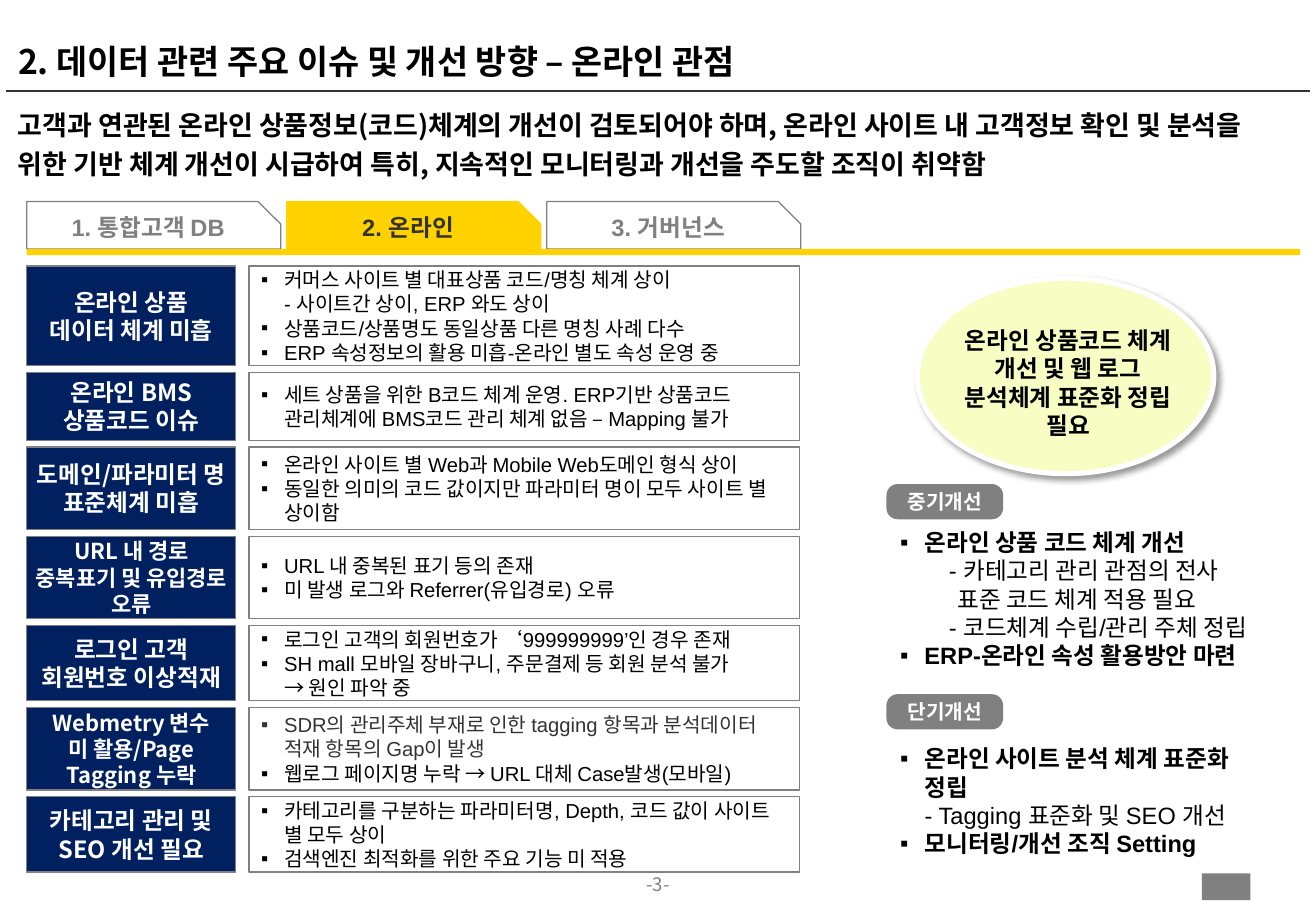
import copy
import itertools

import pptx
import pptx.dml.color
import pptx.enum.shapes
import pptx.enum.text
import pptx.oxml
import pptx.oxml.ns
import pptx.util

SHAPE = pptx.enum.shapes.MSO_SHAPE
ALIGN = pptx.enum.text.PP_ALIGN
ANCHOR = pptx.enum.text.MSO_ANCHOR
COLS, ROWS = 108.3, 75


class Theme:
    """Colours, faces and type sizes of the slide."""
    black, dark, gray, white = "000000", "333333", "808080", "FFFFFF"
    navy, gold, cream = "002060", "FFD200", "F7FDC3"
    sans, hangul = "Arial", "Noto Sans CJK KR"
    title, lead, head, tight, body, foot = 20, 16, 14, 13, 12, 11


ISSUES = [
    (8.2, Theme.head, "온라인 상품\n데이터 체계 미흡", [
        "커머스 사이트 별 대표상품 코드/명칭 체계 상이\v- 사이트간 상이, ERP 와도 상이",
        "상품코드/상품명도 동일상품 다른 명칭 사례 다수",
        "ERP 속성정보의 활용 미흡-온라인 별도 속성 운영 중"]),
    (5.6, Theme.head, "온라인 BMS 상품코드 이슈", [
        "세트 상품을 위한 B코드 체계 운영. ERP기반 상품코드 관리체계에 "
        "BMS코드 관리 체계 없음 – Mapping 불가"]),
    (6.8, Theme.head, "도메인/파라미터 명 표준체계 미흡", [
        "온라인 사이트 별 Web과 Mobile Web도메인 형식 상이",
        "동일한 의미의 코드 값이지만 파라미터 명이 모두 사이트 별 상이함"]),
    (6.8, Theme.tight, "URL 내 경로 중복표기 및 유입경로 오류", [
        "URL 내 중복된 표기 등의 존재",
        "미 발생 로그와 Referrer(유입경로) 오류"]),
    (6.2, Theme.head, "로그인 고객\n회원번호 이상적재", [
        "로그인 고객의 회원번호가 ‘999999999’인 경우 존재",
        "SH mall 모바일 장바구니, 주문결제 등 회원 분석 불가\v→ 원인 파악 중"]),
    (6.8, Theme.tight, "Webmetry 변수\v미 활용/Page Tagging 누락", [
        "SDR의 관리주체 부재로 인한 tagging 항목과 분석데이터 적재 항목의 Gap이 발생",
        "웹로그 페이지명 누락 → URL 대체 Case발생(모바일)"]),
    (6.2, Theme.head, "카테고리 관리 및\nSEO 개선 필요", [
        "카테고리를 구분하는 파라미터명, Depth, 코드 값이 사이트 별 모두 상이",
        "검색엔진 최적화를 위한 주요 기능 미 적용"]),
]
PLANS = [
    (39.9, "중기개선", (73.1, 43.1, 34.7, 12.4), (4.7, -0.7), [
        "온라인 상품 코드 체계 개선",
        "- 카테고리 관리 관점의 전사\v표준 코드 체계 적용 필요",
        "- 코드체계 수립/관리 주체 정립",
        "ERP-온라인 속성 활용방안 마련"]),
    (57.2, "단기개선", (73.1, 61.3, 31.5, 9.3), (2, 0), [
        "온라인 사이트 분석 체계 표준화 정립",
        "- Tagging 표준화 및 SEO 개선",
        "모니터링/개선 조직 Setting"]),
]


def cell(deck, *spans):
    """Turn alternating column and row counts into lengths."""
    units = itertools.cycle((deck.slide_width / COLS, deck.slide_height / ROWS))
    return [round(span * unit) for span, unit in zip(spans, units)]


def paint(color):
    """Return the colour for a hex code."""
    return pptx.dml.color.RGBColor.from_string(color)


def block(deck, slide, kind, spot, fill, line=None, width=0.75, bend=None):
    """Add a filled preset shape at a grid spot."""
    shape = slide.shapes.add_shape(kind, *cell(deck, *spot))
    shape.shadow.inherit = False
    shape.fill.solid()
    shape.fill.fore_color.rgb = paint(fill)
    if line:
        shape.line.color.rgb = paint(line)
        shape.line.width = pptx.util.Pt(width)
    else:
        shape.line.fill.background()
    if bend is not None:
        shape.adjustments[0] = bend
    return shape


def style(para, size, color, bold, face):
    """Format each run and line break of a paragraph."""
    for run in para.runs:
        font = run.font
        font.size, font.bold, font.name = pptx.util.Pt(size), bold, face
        font.color.rgb = paint(color)
        mark = run._r.get_or_add_rPr()
        east = pptx.oxml.ns.qn("a:ea")
        mark.append(mark.makeelement(east, {"typeface": Theme.hangul}))
    for gap in para._p.findall(pptx.oxml.ns.qn("a:br")):
        gap.append(copy.deepcopy(mark))


def write(shape, text, size, color, bold=True, face=Theme.hangul,
          align=ALIGN.CENTER, anchor=ANCHOR.MIDDLE, pad=(0.1, 0.05, 0.1, 0.05)):
    """Fill a shape with evenly styled text and return its frame."""
    frame = shape.text_frame
    frame.word_wrap, frame.vertical_anchor = True, anchor
    inches = [pptx.util.Inches(side) for side in pad]
    (frame.margin_left, frame.margin_top,
     frame.margin_right, frame.margin_bottom) = inches
    frame.text = text
    for para in frame.paragraphs:
        para.alignment = align
        style(para, size, color, bold, face)
    return frame


def label(deck, slide, spot, text, size, color, **looks):
    """Add a text box at a grid spot and return its frame."""
    box = slide.shapes.add_textbox(*cell(deck, *spot))
    return write(box, text, size, color, **looks)


def indent(deck, para, left, first, bullet):
    """Set a paragraph's margin, hanging indent and bullet."""
    props = para._p.get_or_add_pPr()
    props.set("marL", str(cell(deck, left)[0]))
    props.set("indent", str(cell(deck, first)[0]))
    if bullet:
        for tag, key, value in (("buFont", "typeface", Theme.sans),
                                ("buChar", "char", "▪")):
            name = pptx.oxml.ns.qn("a:" + tag)
            props.append(props.makeelement(name, {key: value}))


def tabs(deck, slide):
    """Draw the section tabs and the bar under them."""
    names = ["1. 통합고객 DB", "2. 온라인", "3. 거버넌스"]
    for turn, name in enumerate(names):
        live = turn == 1
        fill, line, ink = ((Theme.gold, Theme.gold, Theme.dark) if live
                           else (Theme.white, Theme.gray, Theme.gray))
        tab = block(deck, slide, SHAPE.SNIP_1_RECTANGLE,
                    (2.2 + 21.4 * turn, 16.6, 20.9, 3.9), fill, line, bend=0.475)
        write(tab, name, Theme.head, ink, face=Theme.sans,
              anchor=ANCHOR.TOP, pad=(0.04, 0, 0.04, 0.08))
    block(deck, slide, SHAPE.RECTANGLE, (2.2, 20.5, 104.8, 0.5), Theme.gold)


def issues(deck, slide):
    """Stack the issue rows with equal gaps."""
    top = 21.9
    for tall, size, name, notes in ISSUES:
        head = block(deck, slide, SHAPE.RECTANGLE, (2.2, top, 17.2, tall),
                     Theme.navy, Theme.gray)
        write(head, name, size, Theme.white, pad=(0.04,) * 4)
        body = block(deck, slide, SHAPE.RECTANGLE, (20.5, top, 45.3, tall),
                     Theme.white, Theme.gray)
        frame = write(body, "\n".join(notes), Theme.body, Theme.black,
                      bold=False, face=Theme.sans, align=ALIGN.LEFT)
        for para in frame.paragraphs:
            indent(deck, para, 1.9, -1.9, True)
            if para.text.startswith("SDR"):
                para.runs[0].font.color.rgb = paint(Theme.dark)
        top += tall + 0.55


def goal(deck, slide):
    """Draw the oval with the overall goal."""
    oval = block(deck, slide, SHAPE.OVAL, (75.5, 22.9, 24.4, 16.1),
                 Theme.cream, Theme.white, 3)
    effect = oval._element.spPr.find(pptx.oxml.ns.qn("a:effectLst"))
    effect.append(pptx.oxml.parse_xml(
        '<a:outerShdw xmlns:a="http://schemas.openxmlformats.org/drawingml/2006/main"'
        ' blurRad="50800" dist="38100" dir="2700000" algn="tl" rotWithShape="0">'
        '<a:srgbClr val="000000"><a:alpha val="40000"/></a:srgbClr></a:outerShdw>'))
    label(deck, slide, (77.8, 25.8, 20.2, 11.4),
          "온라인 상품코드 체계 개선 및 웹 로그 분석체계 표준화 정립 필요",
          Theme.head, Theme.black, pad=(0.08, 0.04, 0.08, 0.04))


def plans(deck, slide):
    """Add the mid-term and short-term plans."""
    for top, name, spot, sub, notes in PLANS:
        chip = block(deck, slide, SHAPE.ROUNDED_RECTANGLE, (73, top, 9.5, 2.8),
                     Theme.gray, Theme.gray, bend=0.313)
        write(chip, name, Theme.body, Theme.white, face=Theme.sans)
        frame = label(deck, slide, spot, "\n".join(notes), Theme.head, Theme.black,
                      face=Theme.sans, align=ALIGN.LEFT)
        for para in frame.paragraphs:
            minor = para.text.startswith("-")
            indent(deck, para, *(sub if minor else (2, -2)), not minor)
            for run in para.runs:
                run.font.bold = not minor


def heads(deck, slide):
    """Add the title, its rule, the lead text and the footer."""
    label(deck, slide, (0.5, 0.5, 107.2, 6.7),
          "2. 데이터 관련 주요 이슈 및 개선 방향 – 온라인 관점", Theme.title, Theme.black,
          align=ALIGN.LEFT, anchor=ANCHOR.BOTTOM).paragraphs[0].line_spacing = 0.85
    rule = slide.shapes.add_connector(pptx.enum.shapes.MSO_CONNECTOR.STRAIGHT,
                                      *cell(deck, 0.5, 7.5, 107.8, 7.5))
    rule.line.color.rgb = paint(Theme.dark)
    rule.line.width = pptx.util.Pt(1)
    props = rule._element.spPr
    props.append(props.makeelement(pptx.oxml.ns.qn("a:effectLst"), {}))
    label(deck, slide, (0.5, 7.9, 107.3, 5.6),
          "고객과 연관된 온라인 상품정보(코드)체계의 개선이 검토되어야 하며, 온라인 사이트 내 "
          "고객정보 확인 및 분석을 위한 기반 체계 개선이 시급하여 특히, 지속적인 모니터링과 "
          "개선을 주도할 조직이 취약함", Theme.lead, Theme.black, align=ALIGN.LEFT,
          anchor=ANCHOR.TOP, pad=(0.1, 0.05, 0.4, 0.05)).paragraphs[0].line_spacing = 1.2
    label(deck, slide, (49.9, 71.9, 8.5, 2.2), "-3-", Theme.foot, Theme.gray,
          bold=False, anchor=ANCHOR.TOP, pad=(0,) * 4)
    block(deck, slide, SHAPE.RECTANGLE, (98.9, 71.9, 4, 2.2), Theme.gray)


def main():
    """Build the slide and save it."""
    deck = pptx.Presentation()
    deck.slide_width, deck.slide_height = pptx.util.Inches(10.83), pptx.util.Inches(7.5)
    slide = deck.slides.add_slide(deck.slide_layouts[6])
    for part in (heads, tabs, issues, goal, plans):
        part(deck, slide)
    deck.save("out.pptx")


if __name__ == "__main__":
    main()
